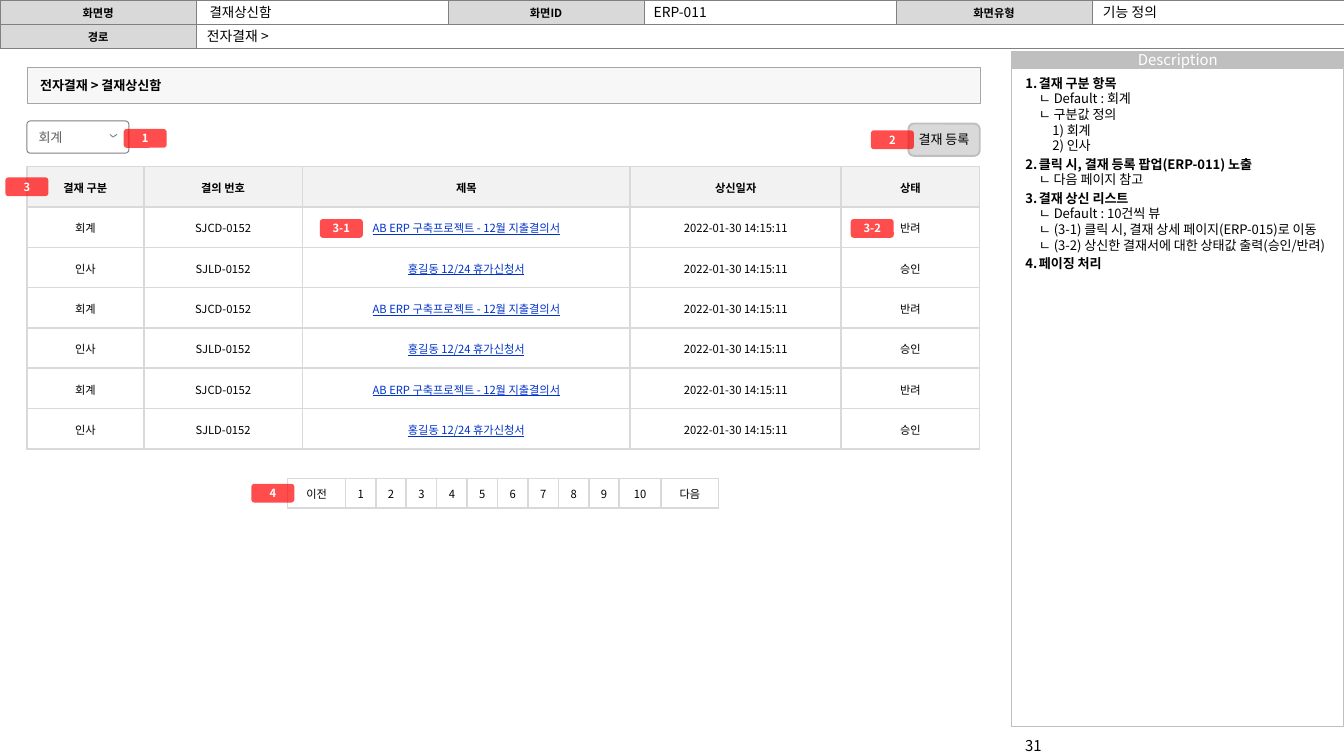
"""Build the screen definition slide for the approval request inbox."""
import copy
import dataclasses

import pptx
import pptx.dml.color
import pptx.enum.shapes
import pptx.enum.text
import pptx.oxml
import pptx.oxml.ns
import pptx.util

ALIGN = pptx.enum.text.PP_ALIGN
ANCHOR = pptx.enum.text.MSO_ANCHOR
SHAPE = pptx.enum.shapes.MSO_SHAPE
inch = pptx.util.Inches
pt = pptx.util.Pt
qn = pptx.oxml.ns.qn


@dataclasses.dataclass(frozen=True)
class Theme:
    font: str = "Noto Sans CJK KR"
    ink: str = "000000"
    paper: str = "FFFFFF"
    label: str = "D9D9D9"
    head: str = "F2F2F2"
    edge: str = "BFBFBF"
    bar_edge: str = "A6A6A6"
    rule: str = "808080"
    muted: str = "5F5F5F"
    link: str = "0033CC"
    badge: str = "FF0000"
    small: float = 6
    body: float = 7
    title: float = 7.2
    field: float = 7.4
    large: float = 8


T = Theme()
W = 10
H = W * 9 / 16

HEADER = [["화면명", "", "화면ID", "", "화면유형", ""], ["경로", "", "", "", "", ""]]
TITLE, SCREEN_ID, SCREEN_TYPE, ROUTE = "결재상신함", "ERP-011", "기능 정의", "전자결재 >"
NOTES = [
    ("결재 구분 항목", "ㄴ Default : 회계\nㄴ 구분값 정의\n\t1) 회계\n\t2) 인사"),
    ("클릭 시, 결재 등록 팝업(ERP-011) 노출", "ㄴ 다음 페이지 참고"),
    ("결재 상신 리스트", "ㄴ Default : 10건씩 뷰\nㄴ (3-1) 클릭 시, 결재 상세 페이지(ERP-015)로 이동\n"
                  "ㄴ (3-2) 상신한 결재서에 대한 상태값 출력(승인/반려)"),
    ("페이징 처리", ""),
]
LIST_HEAD = ["결재 구분", "결의 번호", "제목", "상신일자", "상태"]
REQUESTS = [
    ["회계", "SJCD-0152", "AB ERP 구축프로젝트 - 12월 지출결의서", "2022-01-30 14:15:11", "반려"],
    ["인사", "SJLD-0152", "홍길동 12/24 휴가신청서", "2022-01-30 14:15:11", "승인"],
] * 3
PAGES = ["이전", *map(str, range(1, 11)), "다음"]

PITCH, LABEL_W, HEAD_ROW = W / 3, 1.46, 0.18
LEFT, MAIN_W = 0.2, 7.09
SIDE = 7.53
LIST_TOP, LIST_ROW = 1.24, 0.3
LIST_COLS = [0.87, 1.18, 2.44, 1.57, 1.03]
PAGER_W, PAGE_END, PAGE_TEN = 3.21, 0.43, 0.31
PAGE_W = (PAGER_W - 2 * PAGE_END - PAGE_TEN) / 9
BADGES = [("3", 0.04, 1.32), ("4", 1.87, 3.6), ("3-2", 6.33, 1.63),
          ("2", 6.48, 0.97), ("3-1", 2.38, 1.63), ("1", 0.92, 0.96)]


def rgb(value):
    return pptx.dml.color.RGBColor.from_string(value)


def write(p, text, size=T.body, color=T.ink, bold=False, underline=False, align=ALIGN.LEFT):
    p.alignment = align
    p.space_before = pt(0)
    for i, line in enumerate(text.split("\n")):
        if i:
            p.add_line_break()
            p._p[-1].append(copy.deepcopy(r._r.rPr))
        if not line:
            continue
        r = p.add_run()
        r.text = line
        r.font.size, r.font.bold, r.font.underline = pt(size), bold, underline
        r.font.color.rgb = rgb(color)
        r.font.name = T.font
        ea = r._r.rPr.makeelement(qn("a:ea"), {"typeface": T.font})
        r._r.rPr.find(qn("a:latin")).addnext(ea)


def frame(tf, insets=(0.1, 0.05), wrap=True, anchor=ANCHOR.MIDDLE):
    tf.auto_size = pptx.enum.text.MSO_AUTO_SIZE.NONE
    tf.word_wrap, tf.vertical_anchor = wrap, anchor
    tf.margin_left = tf.margin_right = inch(insets[0])
    tf.margin_top = tf.margin_bottom = inch(insets[1])
    return tf


def style(sp, fill=None, line=None, width=0.5, alpha=None):
    sp.shadow.inherit = False
    if fill:
        sp.fill.solid()
        sp.fill.fore_color.rgb = rgb(fill)
    else:
        sp.fill.background()
    if alpha:
        color = sp._element.spPr.find(qn("a:solidFill"))[0]
        color.append(color.makeelement(qn("a:alpha"), {"val": str(alpha * 1000)}))
    if line:
        sp.line.color.rgb, sp.line.width = rgb(line), pt(width)
    else:
        sp.line.fill.background()


def box(slide, at, kind=SHAPE.RECTANGLE, text="", insets=(0.1, 0.05), wrap=False, fmt=None, **look):
    sp = slide.shapes.add_shape(kind, *map(inch, at))
    style(sp, **look)
    if text:
        write(frame(sp.text_frame, insets, wrap).paragraphs[0], text, **(fmt or {}))
    return sp


def border(cell, color, width):
    tc_pr = cell._tc.get_or_add_tcPr()
    for i, side in enumerate(("lnL", "lnR", "lnT", "lnB")):
        tc_pr.insert(i, pptx.oxml.parse_xml(
            f'<a:{side} {pptx.oxml.ns.nsdecls("a")} w="{int(pt(width))}"><a:solidFill>'
            f'<a:srgbClr val="{color}"/></a:solidFill></a:{side}>'))


def table(slide, rows, x, y, cols, row_h, look, insets, line, width):
    size = map(inch, (x, y, sum(cols), row_h * len(rows)))
    tbl = slide.shapes.add_table(len(rows), len(cols), *size).table
    tbl.first_row = tbl.horz_banding = False
    for col, w in zip(tbl.columns, cols):
        col.width = inch(w)
    for i, row in enumerate(rows):
        tbl.rows[i].height = inch(row_h)
        for j, text in enumerate(row):
            cell, (fill, fmt) = tbl.cell(i, j), look(i, j)
            cell.vertical_anchor = ANCHOR.MIDDLE
            cell.margin_left, cell.margin_top, cell.margin_right, cell.margin_bottom = map(inch, insets)
            p = cell.text_frame.paragraphs[0]
            if text:
                write(p, text, size=T.small, align=ALIGN.CENTER, **fmt)
            else:
                p._p.get_or_add_endParaRPr().set("sz", str(T.small * 100))
            if fill:
                cell.fill.solid()
                cell.fill.fore_color.rgb = rgb(fill)
            else:
                cell.fill.background()
            border(cell, line, width)
    return tbl


def place(slide, idx, at, insets=(0.1, 0.05), anchor=ANCHOR.MIDDLE):
    sp = slide.placeholders[idx]
    slide.shapes._spTree.append(sp._element)
    sp.left, sp.top, sp.width, sp.height = map(inch, at)
    return frame(sp.text_frame, insets, anchor=anchor)


def indent(p, left, hang, bullet, **attrs):
    p_pr = p._p.get_or_add_pPr()
    p_pr.set("marL", str(inch(left)))
    p_pr.set("indent", str(inch(-hang)))
    p_pr.append(p_pr.makeelement(qn(bullet), attrs))
    return p_pr


def list_look(i, j):
    if i == 0:
        return T.head, {"bold": True}
    return None, {"color": T.link, "underline": True} if j == 2 else {}


def header(slide):
    tbl = table(slide, HEADER, 0, 0, [LABEL_W, PITCH - LABEL_W] * 3, HEAD_ROW,
                lambda i, j: (T.paper if j % 2 else T.label, {"bold": True}),
                (0.04, 0.03, 0.04, 0.03), T.rule, 0.25)
    tbl.cell(1, 1).merge(tbl.cell(1, 5))
    value_w = PITCH - LABEL_W
    write(place(slide, 0, (LABEL_W, 0, value_w, HEAD_ROW)).paragraphs[0], TITLE, size=T.title)
    fields = [(1, SCREEN_ID, LABEL_W + PITCH - 0.01, 0, value_w),
              (2, SCREEN_TYPE, LABEL_W + 2 * PITCH, 0, value_w),
              (3, ROUTE, LABEL_W, HEAD_ROW, W - LABEL_W)]
    for idx, text, x, y, w in fields:
        p = place(slide, idx, (x, y, w, HEAD_ROW), (0.08, 0.04)).paragraphs[0]
        indent(p, 0, 0, "a:buNone")
        write(p, text, size=T.field)


def notes(slide):
    tf = place(slide, 4, (SIDE, 0.51, W - SIDE, 4.9), anchor=ANCHOR.TOP)
    for i, (heading, detail) in enumerate(NOTES):
        p = tf.add_paragraph() if i else tf.paragraphs[0]
        p_pr = indent(p, 0.1, 0.1, "a:buAutoNum", type="arabicPeriod")
        tabs = p_pr.makeelement(qn("a:tabLst"), {})
        tabs.append(tabs.makeelement(qn("a:tab"), {"pos": str(inch(0.2)), "algn": "l"}))
        p_pr.append(tabs)
        write(p, heading + "\n" if detail else heading, bold=True)
        if detail:
            write(p, detail)
        p.line_spacing, p.space_before = 1.0, pt(1.4 if i else 0)


def main():
    prs = pptx.Presentation()
    prs.slide_width, prs.slide_height = inch(W), inch(H)
    slide = prs.slides.add_slide(prs.slide_layouts.get_by_name("Comparison"))
    box(slide, (SIDE, 0.51, W - SIDE, 4.9), line=T.edge)
    box(slide, (SIDE, 0.38, W - SIDE, 0.12), text="Description", fill=T.edge, line=T.edge,
        fmt={"size": T.large, "color": T.paper, "align": ALIGN.CENTER})
    header(slide)
    number = slide.shapes.add_textbox(*map(inch, (SIDE, 5.43, 1.5, 0.24)))
    write(frame(number.text_frame, anchor=ANCHOR.TOP).paragraphs[0], "31", size=T.large)
    notes(slide)
    box(slide, (LEFT, 0.5, MAIN_W, 0.27), text="전자결재 > 결재상신함", fill=T.head, alpha=60,
        line=T.bar_edge, width=0.25, fmt={"bold": True})
    thin = (0.01, 0.01, 0.01, 0)
    table(slide, [LIST_HEAD, *REQUESTS], LEFT, LIST_TOP, LIST_COLS, LIST_ROW, list_look, thin, T.label, 1)
    box(slide, (LEFT + MAIN_W - 0.53, 0.92, 0.53, 0.24), SHAPE.ROUNDED_RECTANGLE, "결재 등록",
        fill=T.label, line=T.edge, width=1, fmt={"align": ALIGN.CENTER})
    table(slide, [PAGES], 2.14, 3.56, [PAGE_END, *[PAGE_W] * 9, PAGE_TEN, PAGE_END], 0.22,
          lambda i, j: (None, {}), thin, T.label, 1)
    select = box(slide, (LEFT, 0.9, 0.76, 0.24), SHAPE.ROUNDED_RECTANGLE, "회계", (0.08, 0.03), True,
                 fill=T.paper, line=T.rule, fmt={"color": T.muted})
    select.adjustments[0] = 0.11
    arrow = slide.shapes.build_freeform(inch(0.87), inch(1))
    arrow.add_line_segments([(inch(0.84), inch(1.02)), (inch(0.82), inch(1))], close=False)
    style(arrow.convert_to_shape(), line=T.rule)
    for text, x, y in BADGES:
        box(slide, (x, y, 0.32, 0.14), SHAPE.ROUNDED_RECTANGLE, text, fill=T.badge, alpha=70,
            fmt={"size": T.small, "color": T.paper, "bold": True, "align": ALIGN.CENTER})
    prs.save("out.pptx")


if __name__ == "__main__":
    main()
